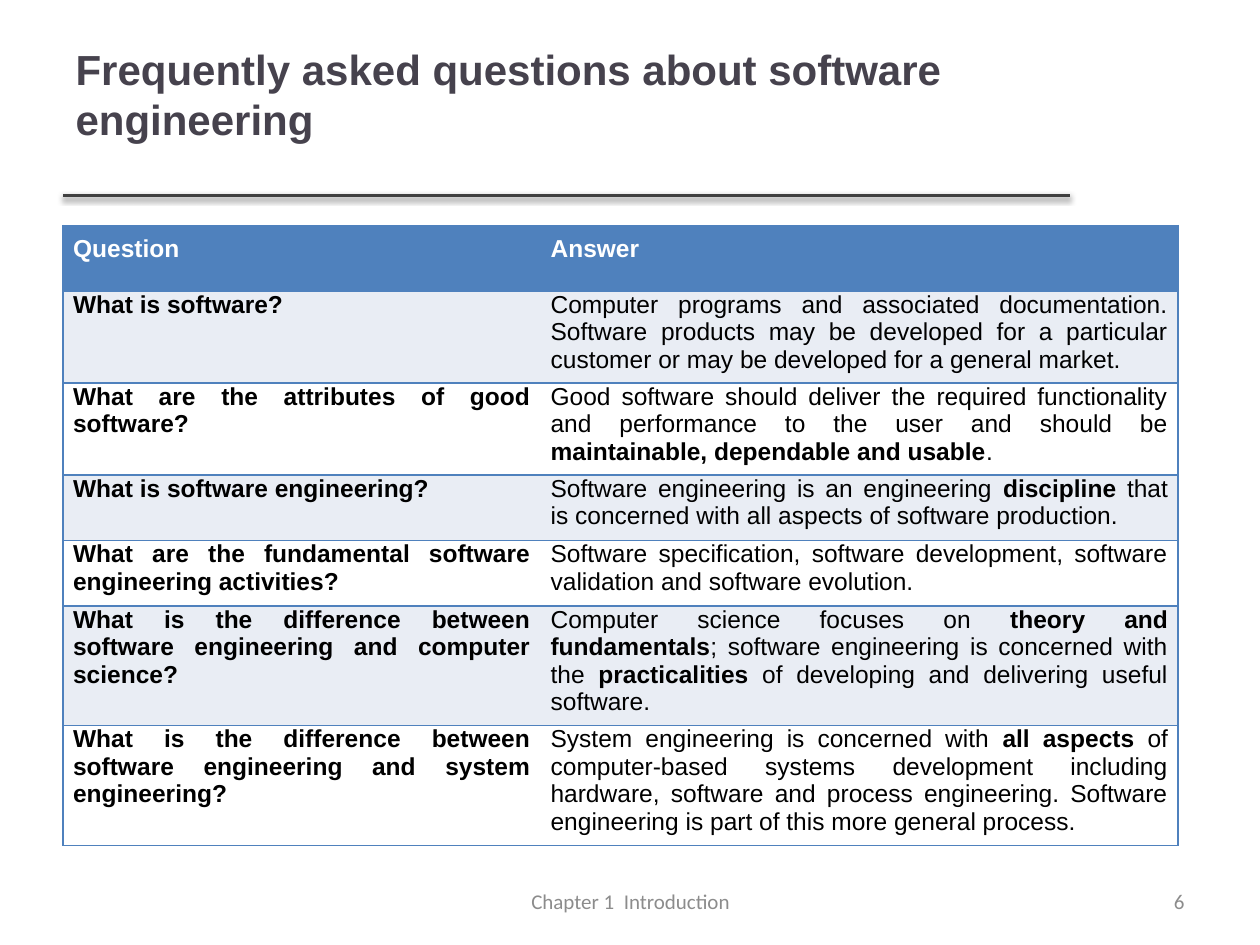
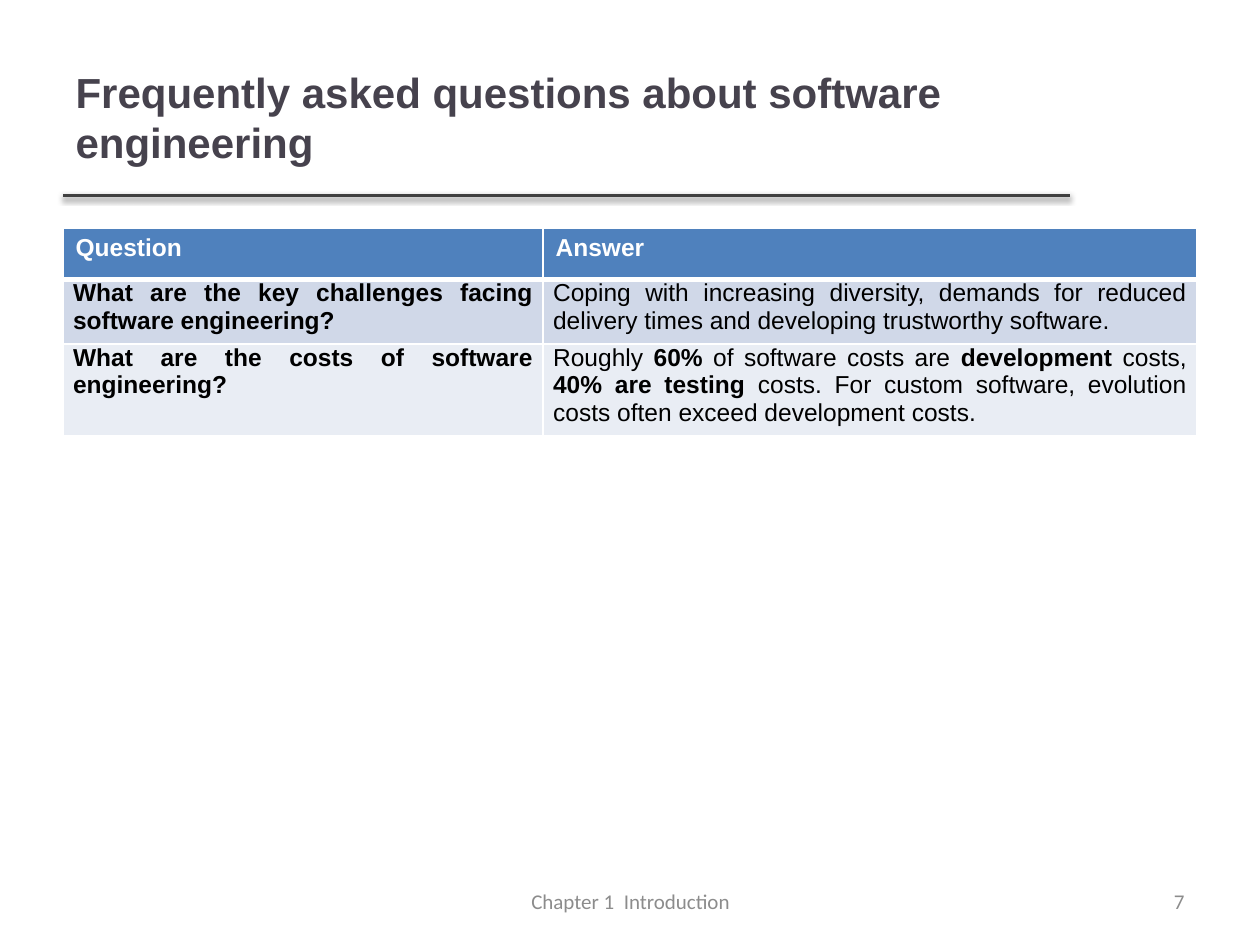
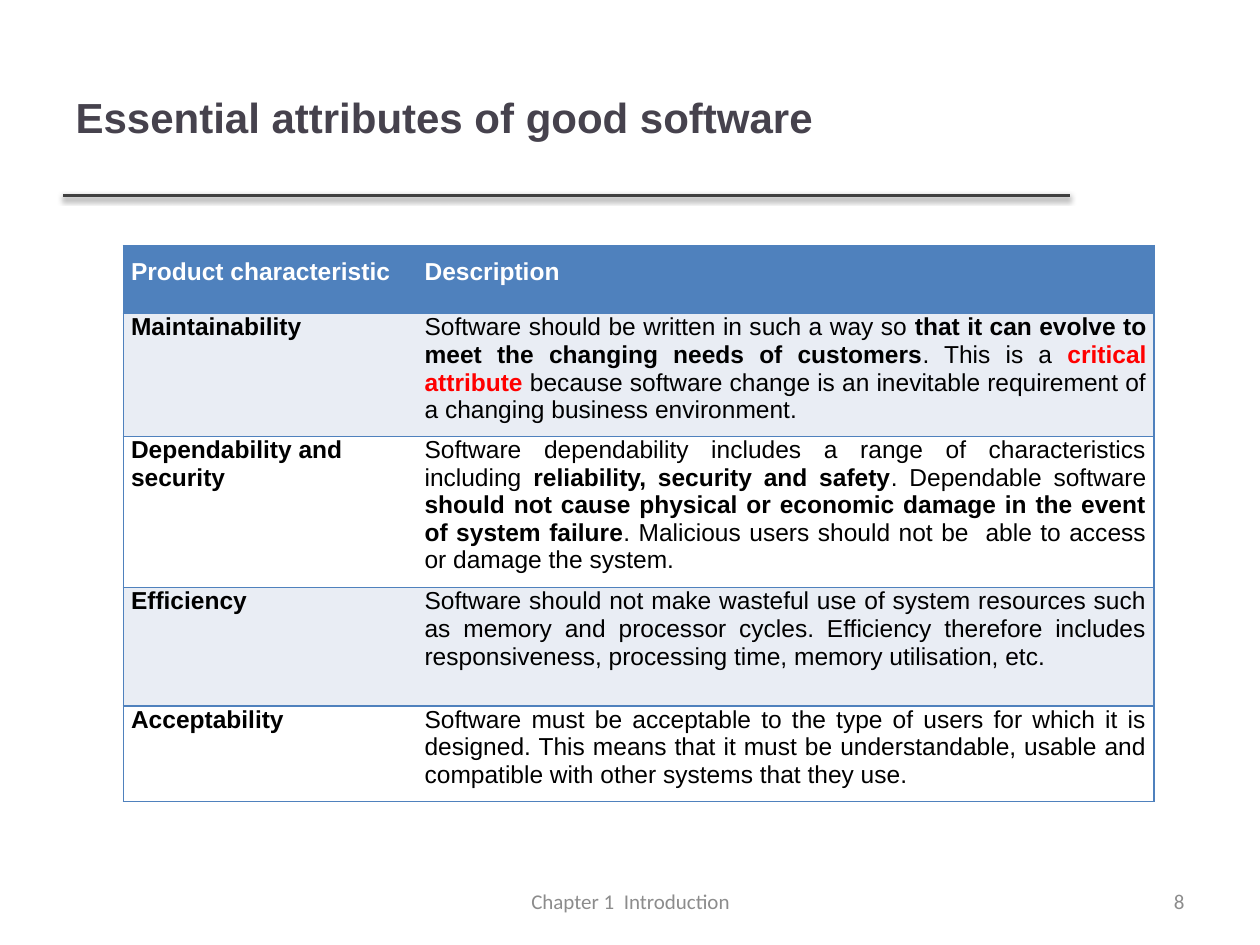
import pptx
import pptx.util
import pptx.dml.color
import pptx.enum.shapes
import pptx.enum.text
import pptx.oxml
import pptx.oxml.ns

Inches = pptx.util.Inches
Pt = pptx.util.Pt
Align = pptx.enum.text.PP_ALIGN
Anchor = pptx.enum.text.MSO_ANCHOR

COLORS = {
    "title": "46424D", "rule": "404040", "footer": "8C8C8C", "blue": "4F81BD",
    "pale": "E9EDF4", "band": "D0D8E8", "white": "FFFFFF", "black": "000000", "red": "FF0000",
}
FOOTER = "Chapter 1  Introduction"
FAQ_TITLE = "Frequently asked questions about software engineering"
HIGHLIGHTS = {"critical attribute "}  # bold passages shown in red

# Table looks: margins are left, top, right, bottom; an inner line of None means no vertical line
LINED = {"line": "blue", "inner": None, "header_rule": 1, "bands": ("pale", "white"), "header_align": Align.JUSTIFY}
GRID = {"line": "white", "inner": "white", "header_rule": 3, "bands": ("band", "pale"), "header_align": Align.LEFT}

# Text between ** marks is bold
SLIDES = [
    {
        "number": 6, "title": FAQ_TITLE, "title_size": (8.41, 1.29), "title_bottom": 0.45,
        "look": LINED, "at": (0.5, 1.79), "columns": (3.79, 5.06),
        "heights": (0.52, 0.73, 0.73, 0.52, 0.52, 0.95, 0.95),
        "header_margins": (0.08, 0.08, 0.08, 0.08), "body_margins": (0.08, 0, 0.08, 0.07),
        "rows": [
            ("Question", "Answer"),
            ("What is software?",
             "Computer programs and associated documentation. Software products may be developed "
             "for a particular customer or may be developed for a general market."),
            ("What are the attributes of good software?",
             "Good software should deliver the required functionality and performance to the user "
             "and should be **maintainable, dependable and usable**."),
            ("What is software engineering?",
             "Software engineering is an engineering **discipline** that is concerned with all "
             "aspects of software production."),
            ("What are the fundamental software engineering activities?",
             "Software specification, software development, software validation and software evolution."),
            ("What is the difference between software engineering and computer science?",
             "Computer science focuses on **theory and fundamentals**; software engineering is "
             "concerned with the **practicalities** of developing and delivering useful software."),
            ("What is the difference between software engineering and system engineering?",
             "System engineering is concerned with **all aspects **of computer-based systems "
             "development including hardware, software and process engineering. Software "
             "engineering is part of this more general process."),
        ],
    },
    {
        "number": 7, "title": FAQ_TITLE, "title_size": (7.98, 1.25), "title_bottom": 0.05,
        "look": GRID, "at": (0.5, 1.81), "columns": (3.81, 5.19), "heights": (0.41, 0.51, 0.73),
        "header_margins": (0.1, 0.05, 0.1, 0.05), "body_margins": (0.08, 0, 0.08, 0.07),
        "rows": [
            ("Question", "Answer"),
            ("What are the key challenges facing software engineering?",
             "Coping with increasing diversity, demands for reduced delivery times and developing "
             "trustworthy software."),
            ("What are the costs of software engineering?",
             "Roughly **60% **of software costs are **development** costs, **40% are testing **"
             "costs. For custom software, evolution costs often exceed development costs."),
        ],
    },
    {
        "number": 8, "title": "Essential attributes of good software",
        "title_size": (7.98, 1.25), "title_bottom": 0.05,
        "look": LINED, "at": (0.98, 1.95), "columns": (2.33, 5.85),
        "heights": (0.54, 0.97, 1.2, 0.94, 0.75),
        "header_margins": (0.06, 0.1, 0.06, 0.1), "body_margins": (0.06, 0, 0.06, 0.1),
        "left_aligned": "Dependability and security",
        "rows": [
            ("Product characteristic", "Description"),
            ("Maintainability",
             "Software should be written in such a way so **that it can evolve to meet the changing "
             "needs of customers**. This is a **critical attribute **because software change is an "
             "inevitable requirement of a changing business environment."),
            ("Dependability and security",
             "Software dependability includes a range of characteristics including **reliability, "
             "security and safety**. Dependable software **should not cause physical or economic "
             "damage in the event of system failure**. Malicious users should not be  able to "
             "access or damage the system."),
            ("Efficiency",
             "Software should not make wasteful use of system resources such as memory and "
             "processor cycles. Efficiency therefore includes responsiveness, processing time, "
             "memory utilisation, etc."),
            ("Acceptability",
             "Software must be acceptable to the type of users for which it is designed. This means "
             "that it must be understandable, usable and compatible with other systems that they use. "),
        ],
    },
]


def rgb(name):
    return pptx.dml.color.RGBColor.from_string(COLORS[name])


def add_span(para, text, size, color, bold=False, font="Arial"):
    span = para.add_run()
    span.text = text
    span.font.name, span.font.size, span.font.bold = font, Pt(size), bold
    span.font.color.rgb = rgb(color)


def add_title(page, content):
    title = page.shapes.title
    width, height = content["title_size"]
    title.left, title.top, title.width, title.height = map(Inches, (0.5, 0.3, width, height))
    frame = title.text_frame
    frame.auto_size = pptx.enum.text.MSO_AUTO_SIZE.NONE
    frame.vertical_anchor = Anchor.MIDDLE
    frame.margin_bottom = Inches(content["title_bottom"])
    para = frame.paragraphs[0]
    para.alignment = Align.LEFT
    add_span(para, content["title"], 24, "title", True)


def add_rule(page):
    rule = page.shapes.add_connector(
        pptx.enum.shapes.MSO_CONNECTOR.STRAIGHT, *map(Inches, (0.5, 1.55, 8.49, 1.55)))
    rule.line.color.rgb = rgb("rule")
    rule.line.width = Pt(2)
    rule._element.spPr.append(pptx.oxml.parse_xml(
        f'<a:effectLst {pptx.oxml.ns.nsdecls("a")}>'
        f'<a:outerShdw blurRad="{Pt(3.1)}" dist="{Pt(1.6)}" dir="5400000" rotWithShape="0">'
        f'<a:srgbClr val="{COLORS["black"]}"><a:alpha val="38000"/></a:srgbClr>'
        '</a:outerShdw></a:effectLst>'))


def add_footer(page, text, left, width, alignment):
    box = page.shapes.add_textbox(*map(Inches, (left, 6.95, width, 0.4)))
    box.text_frame.word_wrap = True
    box.text_frame.vertical_anchor = Anchor.MIDDLE
    para = box.text_frame.paragraphs[0]
    para.alignment = alignment
    add_span(para, text, 12, "footer", font="Calibri")


def set_border(cell, side, color, width):
    paint = f'<a:solidFill><a:srgbClr val="{COLORS[color]}"/></a:solidFill>' if color else "<a:noFill/>"
    cell._tc.get_or_add_tcPr().append(pptx.oxml.parse_xml(
        f'<a:ln{side} {pptx.oxml.ns.nsdecls("a")} w="{Pt(width)}">{paint}</a:ln{side}>'))


def fill_cell(cell, content, row, column):
    look, text = content["look"], content["rows"][row][column]
    header = row == 0

    # Borders and fill
    set_border(cell, "L", look["line"] if column == 0 else look["inner"], 1)
    set_border(cell, "R", look["inner"] if column == 0 else look["line"], 1)
    set_border(cell, "T", look["line"], look["header_rule"] if row == 1 else 1)
    set_border(cell, "B", look["line"], look["header_rule"] if header else 1)
    cell.fill.solid()
    cell.fill.fore_color.rgb = rgb("blue" if header else look["bands"][(row - 1) % 2])

    # Text
    margins = content["header_margins" if header else "body_margins"]
    cell.margin_left, cell.margin_top, cell.margin_right, cell.margin_bottom = map(Inches, margins)
    para = cell.text_frame.paragraphs[0]
    para.alignment = look["header_align"] if header else Align.JUSTIFY
    if text == content.get("left_aligned"):
        para.alignment = Align.LEFT
    for index, part in enumerate(text.split("**")):
        color = "white" if header else "red" if part in HIGHLIGHTS else "black"
        add_span(para, part, 14, color, header or column == 0 or index % 2 == 1)


def add_grid(page, content):
    columns, heights = content["columns"], content["heights"]
    table = page.shapes.add_table(
        len(heights), len(columns),
        *map(Inches, (*content["at"], sum(columns), sum(heights)))).table
    table.horz_banding = False
    for column, width in enumerate(columns):
        table.columns[column].width = Inches(width)
    for row, height in enumerate(heights):
        table.rows[row].height = Inches(height)
        for column in range(len(columns)):
            fill_cell(table.cell(row, column), content, row, column)


def main():
    deck = pptx.Presentation()
    deck.slide_width, deck.slide_height = Inches(10), Inches(7.5)
    for content in SLIDES:
        page = deck.slides.add_slide(deck.slide_layouts[5])
        add_rule(page)
        add_title(page, content)
        add_grid(page, content)
        add_footer(page, FOOTER, 3.42, 3.17, Align.CENTER)
        add_footer(page, str(content["number"]), 7.17, 2.33, Align.RIGHT)
    deck.save("out.pptx")


if __name__ == "__main__":
    main()
